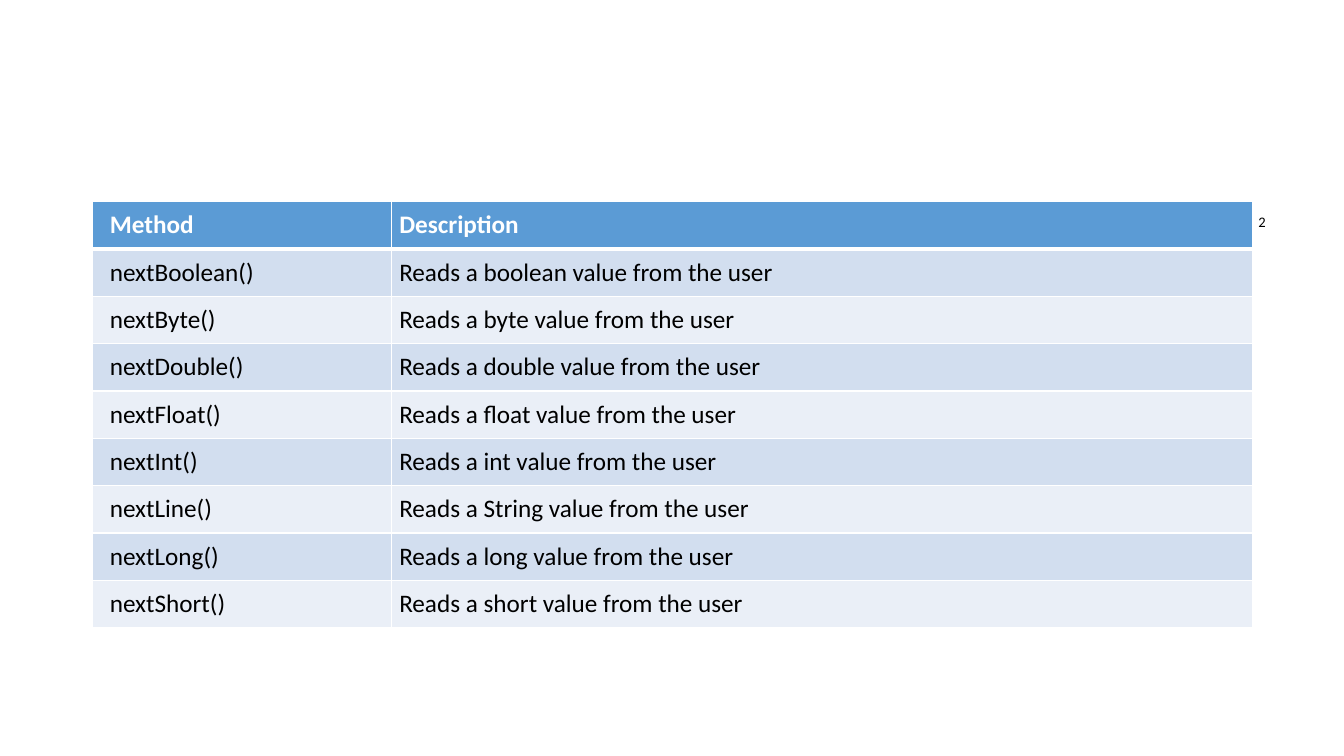
from lxml import etree
from pptx import Presentation
from pptx import util as u
from pptx.dml.color import RGBColor
from pptx.enum import text as t
from pptx.oxml import ns

HEAD = ("Method", "Description")
READS = (
    ("nextBoolean()", "boolean"),
    ("nextByte()", "byte"),
    ("nextDouble()", "double"),
    ("nextFloat()", "float"),
    ("nextInt()", "int"),
    ("nextLine()", "String"),
    ("nextLong()", "long"),
    ("nextShort()", "short"),
)


def color(code):
    return RGBColor.from_string(code)


class Deck:
    font = "Calibri"
    size = 18
    ink = "000000"
    white = "FFFFFF"
    blue = "5B9BD5"
    bands = ("D2DEEF", "EAEFF7")

    def __init__(self, slide):
        self.slide = slide

    def style(self, para, code, bold=False):
        for run in para.runs:
            run.font.name = self.font
            run.font.size = u.Pt(self.size)
            run.font.bold = bold
            run.font.color.rgb = color(code)

    def edge(self, cell, side, width):
        props = cell._tc.get_or_add_tcPr()
        line = etree.SubElement(props, ns.qn("a:ln" + side), w=str(u.Pt(width)))
        fill = etree.SubElement(line, ns.qn("a:solidFill"))
        etree.SubElement(fill, ns.qn("a:srgbClr"), val=self.white)

    def cell(self, cell, words, row, col):
        head = row == 0
        cell.text_frame.text = words
        self.style(cell.text_frame.paragraphs[0],
                   self.white if head else self.ink, head)
        cell.margin_left = u.Inches(0.08 if col else 0.17)
        cell.margin_right = cell.margin_top = cell.margin_bottom = u.Inches(0.08)
        # The rule under the header is heavier than the rest
        for side in "LRTB":
            heavy = (row, side) in ((0, "B"), (1, "T"))
            self.edge(cell, side, 3 if heavy else 1)
        cell.fill.solid()
        cell.fill.fore_color.rgb = color(
            self.blue if head else self.bands[(row - 1) % 2])

    def table(self, rows, left, top, widths, height):
        frame = self.slide.shapes.add_table(
            len(rows), len(widths), u.Inches(left), u.Inches(top),
            u.Inches(sum(widths)), u.Inches(height * len(rows)))
        grid = frame.table
        for col, width in zip(grid.columns, widths):
            col.width = u.Inches(width)
        for r, row in enumerate(rows):
            grid.rows[r].height = u.Inches(height)
            for c, words in enumerate(row):
                self.cell(grid.cell(r, c), words, r, c)

    def note(self, words, left, top, width, height):
        box = self.slide.shapes.add_textbox(
            *(u.Inches(n) for n in (left, top, width, height)))
        frame = box.text_frame
        frame.margin_left = frame.margin_right = 0
        frame.margin_top = frame.margin_bottom = 0
        frame.word_wrap = False
        frame.auto_size = t.MSO_AUTO_SIZE.SHAPE_TO_FIT_TEXT
        frame.text = words
        para = frame.paragraphs[0]
        self.style(para, self.ink)
        # Raise the text as a superscript
        para.runs[0]._r.get_or_add_rPr().set("baseline", "30000")


def main():
    show = Presentation()
    show.slide_width = u.Inches(13.33)
    show.slide_height = u.Inches(7.5)
    deck = Deck(show.slides.add_slide(show.slide_layouts[6]))

    # Table of reading methods
    rows = [HEAD] + [(name, f"Reads a {kind} value from the user")
                     for name, kind in READS]
    deck.table(rows, 0.92, 2, (2.96, 8.54), 0.47)

    # Reference mark beside the header
    deck.note("2", 12.48, 2.08, 0.12, 0.3)

    show.save("out.pptx")


if __name__ == "__main__":
    main()
